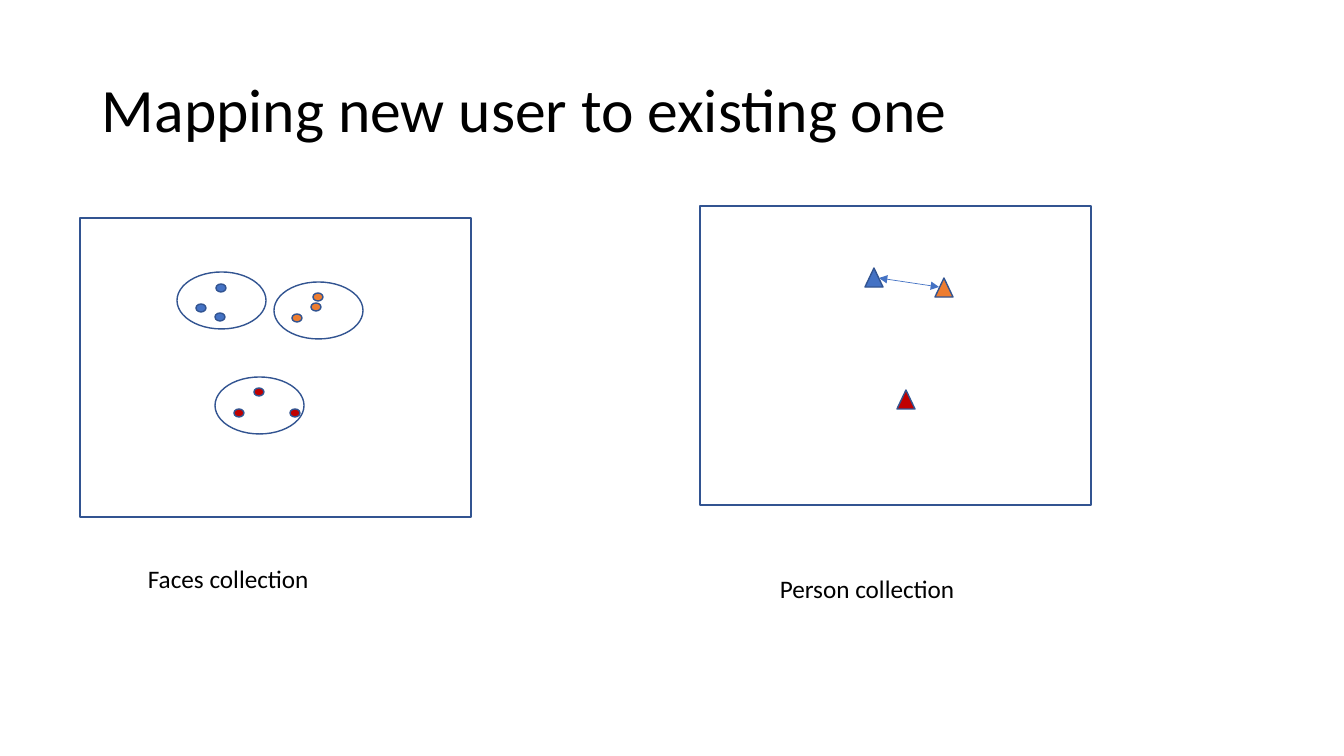
import pptx
import pptx.util
import pptx.dml.color
import pptx.enum.shapes
import pptx.enum.text
import pptx.oxml
import pptx.oxml.ns

SHAPE = pptx.enum.shapes.MSO_SHAPE
ANCHOR = pptx.enum.text.MSO_ANCHOR
BLUE, ORANGE, RED, OUTLINE = "4472C4", "ED7D31", "C00000", "325491"


def px(n):
    return pptx.util.Emu(round(n * 914400 / 100.8))


def rgb(color):
    return pptx.dml.color.RGBColor.from_string(color)


class Painter:
    font = "Calibri"
    text_color = "000000"

    def __init__(self, slide):
        self.slide = slide

    def shape(self, kind, x, y, w, h, fill=None):
        sp = self.slide.shapes.add_shape(kind, px(x), px(y), px(w), px(h))
        sp.shadow.inherit = False
        if fill:
            sp.fill.solid()
            sp.fill.fore_color.rgb = rgb(fill)
        else:
            sp.fill.background()
        sp.line.color.rgb = rgb(OUTLINE)
        sp.line.width = pptx.util.Pt(1)

    def text(self, text, x, y, w, h, size, anchor=ANCHOR.TOP, spacing=1.0):
        tf = self.slide.shapes.add_textbox(px(x), px(y), px(w), px(h)).text_frame
        tf.word_wrap = True
        tf.vertical_anchor = anchor
        p = tf.paragraphs[0]
        p.line_spacing = spacing
        r = p.add_run()
        r.text = text
        r.font.name = self.font
        r.font.size = pptx.util.Pt(size)
        r.font.color.rgb = rgb(self.text_color)

    def double_arrow(self, x1, y1, x2, y2, color):
        cn = self.slide.shapes.add_connector(
            pptx.enum.shapes.MSO_CONNECTOR.STRAIGHT, px(x1), px(y1), px(x2), px(y2))
        cn.line.color.rgb = rgb(color)
        cn.line.width = pptx.util.Pt(0.5)
        ln = cn.line._get_or_add_ln()
        for end in ("a:headEnd", "a:tailEnd"):
            pptx.oxml.ns.qn(end)
            ln.append(pptx.oxml.parse_xml(
                f'<{end} {pptx.oxml.ns.nsdecls("a")} type="triangle"/>'))
        cn._element.spPr.append(pptx.oxml.parse_xml(
            f'<a:effectLst {pptx.oxml.ns.nsdecls("a")}/>'))


prs = pptx.Presentation()
prs.slide_width, prs.slide_height = px(1344), px(756)
s = Painter(prs.slides.add_slide(prs.slide_layouts[6]))

# Title
s.text("Mapping new user to existing one", 92, 40, 1159, 146, 44, ANCHOR.MIDDLE, 0.9)

# Face clusters: colour, ellipse corner, dot offsets from that corner
clusters = [
    (BLUE, 177, 272, [(39, 12), (19, 32), (38, 41)]),
    (RED, 215, 377, [(39, 11), (19, 32), (75, 32)]),
    (ORANGE, 274, 282, [(39, 11), (18, 32), (37, 21)]),
]
for color, x, y, dots in clusters:
    s.shape(SHAPE.OVAL, x, y, 89, 57)
    for dx, dy in dots:
        s.shape(SHAPE.OVAL, x + dx, y + dy, 10, 8, color)

# Persons, one triangle per cluster
for color, x, y in [(BLUE, 865, 268), (ORANGE, 935, 278), (RED, 897, 390)]:
    s.shape(SHAPE.ISOSCELES_TRIANGLE, x, y, 18, 19, color)

# Collection frames and captions
for x, y in [(80, 218), (700, 206)]:
    s.shape(SHAPE.RECTANGLE, x, y, 391, 299)
for caption, x, y in [("Faces collection", 138, 558), ("Person collection", 770, 568)]:
    s.text(caption, x, y, 272, 40, 18)

# Mapping between the two persons
s.double_arrow(879, 278, 939, 287, BLUE)

prs.save("out.pptx")
